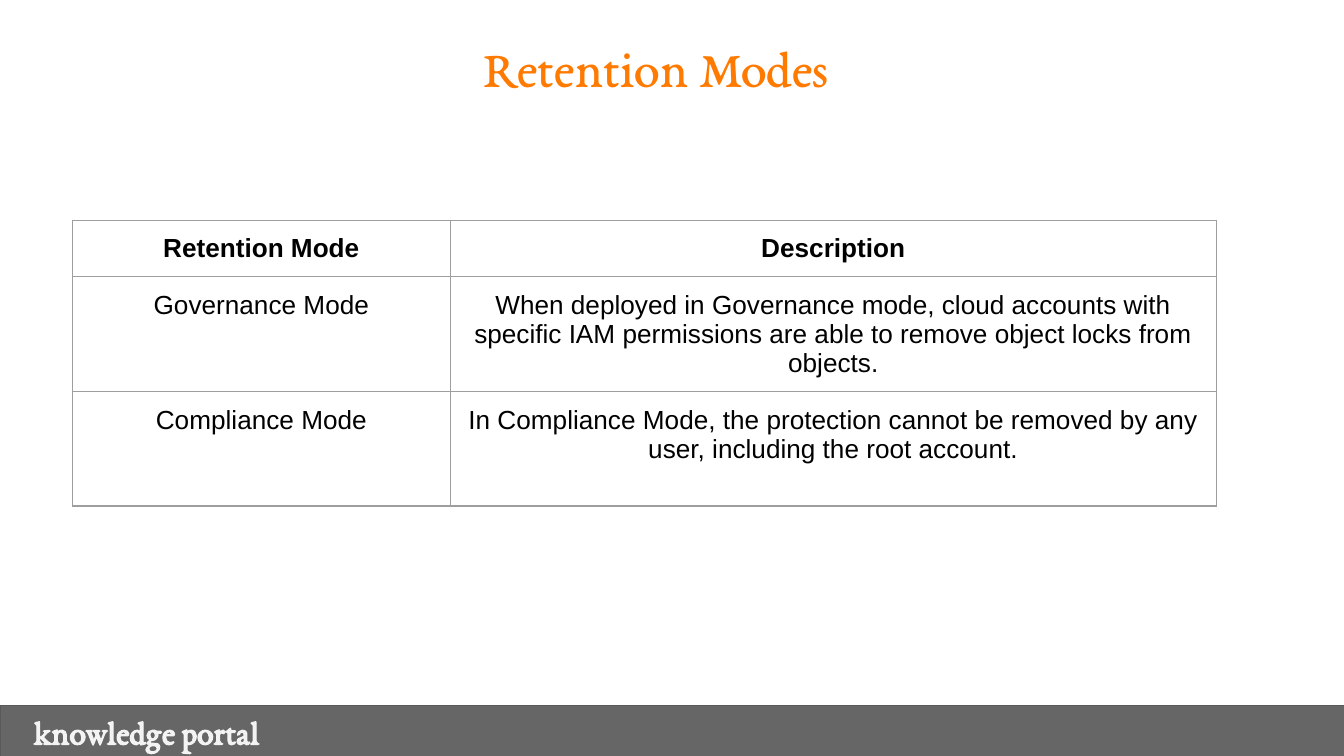
"""Builds the slide on retention modes with its table and footer bar."""
from lxml import etree
from pptx import Presentation
from pptx.dml.color import RGBColor
from pptx.enum.shapes import MSO_SHAPE
from pptx.enum.text import MSO_ANCHOR, MSO_AUTO_SIZE, PP_ALIGN
from pptx.oxml.ns import qn
from pptx.util import Inches, Pt

RECTANGLE = MSO_SHAPE.RECTANGLE
TOP, MIDDLE = MSO_ANCHOR.TOP, MSO_ANCHOR.MIDDLE
LEFT, CENTER = PP_ALIGN.LEFT, PP_ALIGN.CENTER
NO_AUTOFIT = MSO_AUTO_SIZE.NONE

COLORS = {
    "title": "FF7A00",
    "bar": "666666",
    "bar_line": "595959",
    "bar_text": "F3F3F3",
    "border": "9E9E9E",
    "text": "000000",
}
SLIDE_WIDTH = 10
SLIDE_HEIGHT = SLIDE_WIDTH * 9 / 16
MARGIN = 0.1
COLUMN_WIDTHS = [2.81, 5.7]
ROW_HEIGHTS = [0.42, 0.85, 0.85]
ROWS = [
    ["Retention Mode", "Description"],
    ["Governance Mode",
     "When deployed in Governance mode, cloud accounts with specific IAM "
     "permissions are able to remove object locks from objects."],
    ["Compliance Mode",
     "In Compliance Mode, the protection cannot be removed by any user, "
     "including the root account."],
]


def color(name):
    """Return the named colour."""
    return RGBColor.from_string(COLORS[name])


def set_margins(target, left=MARGIN):
    """Give a cell or text frame equal margins, except for the left one."""
    target.margin_left = Inches(left)
    target.margin_top = target.margin_right = target.margin_bottom = Inches(MARGIN)


def write(text_frame, text, size, font, color_name, alignment, bold=False):
    """Write one formatted paragraph."""
    text_frame.text = text
    paragraph = text_frame.paragraphs[0]
    paragraph.alignment = alignment
    for run in paragraph.runs:
        run.font.size = Pt(size)
        run.font.name = font
        run.font.bold = bold
        run.font.color.rgb = color(color_name)


def add_title(slide, text):
    """Place and fill the title placeholder."""
    title = slide.shapes.title
    title.left, title.top = Inches(0.17), Inches(0.16)
    title.width, title.height = Inches(9.42), Inches(0.71)
    text_frame = title.text_frame
    text_frame.auto_size = NO_AUTOFIT
    text_frame.vertical_anchor = TOP
    set_margins(text_frame)
    write(text_frame, text, 28, "EB Garamond", "title", CENTER)


def add_footer_bar(slide, text):
    """Add the footer bar along the lower edge."""
    bar = slide.shapes.add_shape(
        RECTANGLE, 0, Inches(5.25), Inches(SLIDE_WIDTH + 0.02), Inches(0.38))
    bar.shadow.inherit = False
    bar.fill.solid()
    bar.fill.fore_color.rgb = color("bar")
    bar.line.color.rgb = color("bar_line")
    bar.line.width = Pt(0.75)
    text_frame = bar.text_frame
    text_frame.word_wrap = True
    text_frame.vertical_anchor = MIDDLE
    set_margins(text_frame, left=0.25)
    write(text_frame, text, 18, "EB Garamond", "bar_text", LEFT, bold=True)


def set_borders(cell):
    """Draw a thin line on all four sides of a cell."""
    properties = cell._tc.get_or_add_tcPr()
    for index, side in enumerate(("lnL", "lnR", "lnT", "lnB")):
        line = etree.Element(qn(f"a:{side}"), w=str(Pt(0.75)))
        fill = etree.SubElement(line, qn("a:solidFill"))
        etree.SubElement(fill, qn("a:srgbClr"), val=COLORS["border"])
        properties.insert(index, line)


def add_mode_table(slide):
    """Add the table of retention modes."""
    frame = slide.shapes.add_table(
        len(ROWS), len(COLUMN_WIDTHS), Inches(0.54), Inches(1.64),
        Inches(sum(COLUMN_WIDTHS)), Inches(sum(ROW_HEIGHTS)))
    table = frame.table
    table.first_row = table.horz_banding = False
    for column, width in zip(table.columns, COLUMN_WIDTHS):
        column.width = Inches(width)
    for row_index, (row, height) in enumerate(zip(table.rows, ROW_HEIGHTS)):
        row.height = Inches(height)
        for cell, text in zip(row.cells, ROWS[row_index]):
            cell.fill.background()
            set_borders(cell)
            set_margins(cell)
            cell.vertical_anchor = TOP
            write(cell.text_frame, text, 14, "Arial", "text", CENTER,
                  bold=row_index == 0)


def main():
    """Build and save the presentation."""
    presentation = Presentation()
    presentation.slide_width = Inches(SLIDE_WIDTH)
    presentation.slide_height = Inches(SLIDE_HEIGHT)
    slide = presentation.slides.add_slide(presentation.slide_layouts[5])
    add_title(slide, "Retention Modes")
    add_footer_bar(slide, "knowledge portal")
    add_mode_table(slide)
    presentation.save("out.pptx")


if __name__ == "__main__":
    main()
